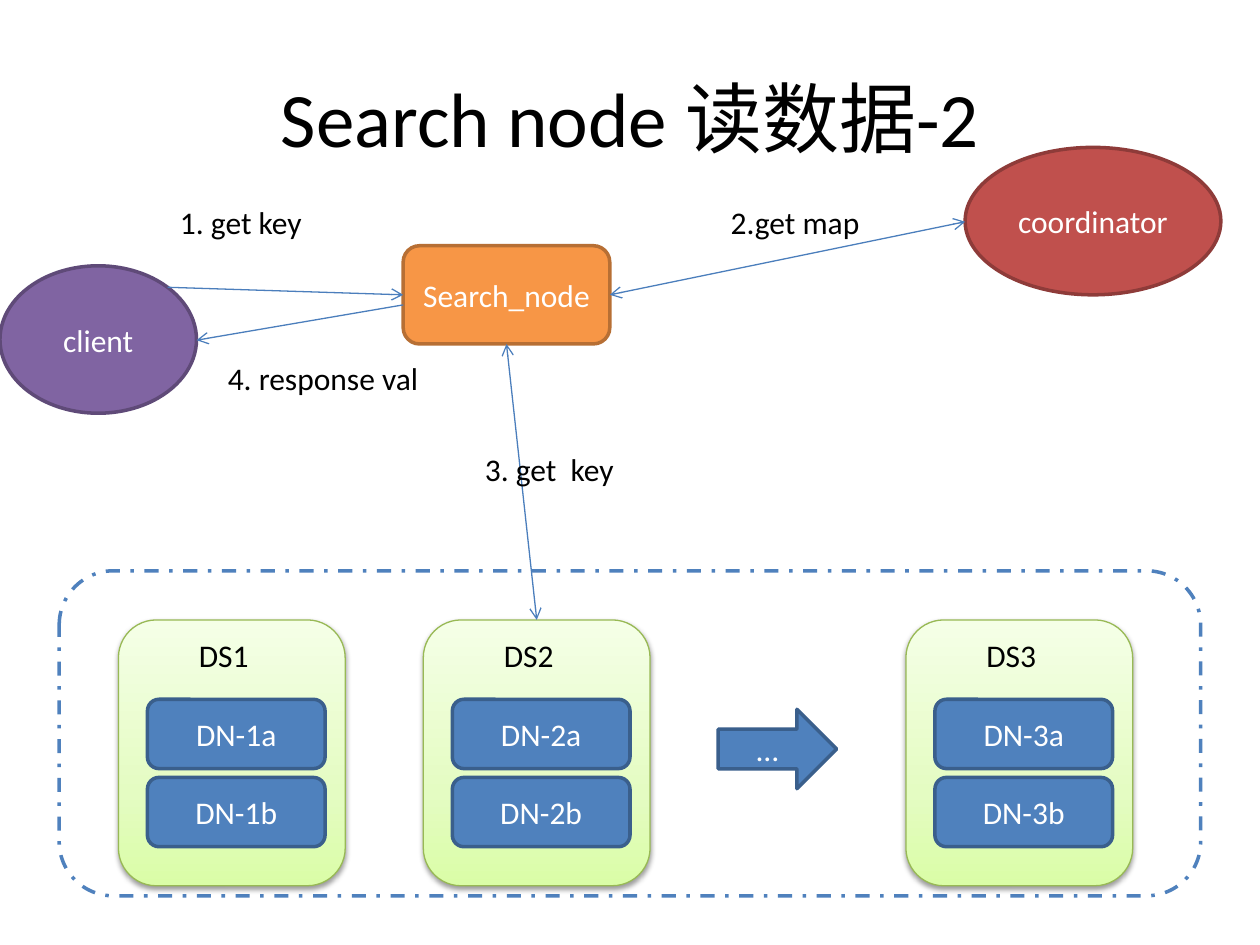
from copy import deepcopy
from lxml.etree import SubElement
from pptx import Presentation
from pptx.dml.color import RGBColor
from pptx.enum.dml import MSO_LINE
from pptx.enum.shapes import MSO_CONNECTOR, MSO_SHAPE as SHAPE
from pptx.enum.text import MSO_ANCHOR as ANCHOR, PP_ALIGN as ALIGN
from pptx.oxml.ns import qn
from pptx.util import Inches, Pt

COLORS = {
    "text": "000000", "light": "FFFFFF", "arrow": "4B7EBC",
    "blue": "4F81BD", "blue_edge": "3A5F8C",
    "orange": "F79646", "orange_edge": "B76F34",
    "red": "C0504D", "red_edge": "8E3B39",
    "purple": "8064A2", "purple_edge": "5F4A78",
    "green_edge": "98B955",
}
GREEN_STOPS = [(0, "DAFDA7"), (0.35, "E4FCC2"), (1, "F5FFE7")]
rgb = RGBColor.from_string

deck = Presentation()
deck.slide_width, deck.slide_height = Inches(10), Inches(7.5)
slide = deck.slides.add_slide(deck.slide_layouts[6])


def write(holder, words, color="text", size=18, align=ALIGN.LEFT, anchor=ANCHOR.TOP, wrap=True):
    frame = holder.text_frame
    frame.word_wrap = wrap
    frame.vertical_anchor = anchor
    frame.paragraphs[0].alignment = align
    run = frame.paragraphs[0].add_run()
    run.text = words
    run.font.name, run.font.size = "Calibri", Pt(size)
    run.font.color.rgb = rgb(COLORS[color])


def add_node(kind, box, fill, edge, words="", width=2):
    node = slide.shapes.add_shape(kind, *map(Inches, box))
    node.shadow.inherit = False
    if fill:
        node.fill.solid()
        node.fill.fore_color.rgb = rgb(COLORS[fill])
    node.line.color.rgb = rgb(COLORS[edge])
    node.line.width = Pt(width)
    if words:
        write(node, words, "light", align=ALIGN.CENTER, anchor=ANCHOR.MIDDLE)
    return node


# Title
title = slide.shapes.add_textbox(*map(Inches, (0.5, 0.3, 9, 1.25)))
write(title, "Search node 读数据-2", size=44, align=ALIGN.CENTER, anchor=ANCHOR.MIDDLE)

# Cluster frame and search node
cluster = add_node(SHAPE.ROUNDED_RECTANGLE, (0.47, 4.53, 9.06, 2.58), "light", "blue")
cluster.line.dash_style = MSO_LINE.DASH_DOT
add_node(SHAPE.ROUNDED_RECTANGLE, (3.2, 1.95, 1.64, 0.78), "orange", "orange_edge", "Search_node")

# Data servers, each with two data nodes
for number, left in enumerate((0.94, 3.36, 7.19), 1):
    server = add_node(SHAPE.ROUNDED_RECTANGLE, (left, 4.92, 1.8, 2.11), None, "green_edge", width=0.75)
    server.fill.gradient()
    server.fill.gradient_angle = 90
    stops = server._element.spPr.find(qn("a:gradFill")).find(qn("a:gsLst"))
    stops.append(deepcopy(stops[-1]))
    for stop, (position, color) in zip(server.fill.gradient_stops, GREEN_STOPS):
        stop.position = position
        stop.color.rgb = rgb(color)
    effects = server._element.spPr.find(qn("a:effectLst"))
    shade = SubElement(effects, qn("a:outerShdw"), blurRad=str(Pt(3.1)), dist=str(Pt(1.6)),
                       dir="5400000", rotWithShape="0")
    black = SubElement(shade, qn("a:srgbClr"), val=COLORS["text"])
    SubElement(black, qn("a:alpha"), val="38000")

    for row, letter in enumerate("ab"):
        add_node(SHAPE.ROUNDED_RECTANGLE, (left + 0.23, 5.55 + 0.62 * row, 1.41, 0.55),
                 "blue", "blue_edge", f"DN-{number}{letter}")
    server_name = slide.shapes.add_textbox(*map(Inches, (left + 0.54, 5, 0.86, 0.4)))
    write(server_name, f"DS{number}")

# Further servers, coordinator and client
add_node(SHAPE.RIGHT_ARROW, (5.7, 5.63, 0.94, 0.63), "blue", "blue_edge", "…")
add_node(SHAPE.OVAL, (7.66, 1.17, 2.03, 1.17), "red", "red_edge", "coordinator")
add_node(SHAPE.OVAL, (0, 2.11, 1.56, 1.17), "purple", "purple_edge", "client")

# Arrows: start, end, whether both ends have heads
for start, end, both in [
    ((4.84, 2.34), (7.66, 1.76), True),
    ((4.02, 2.73), (4.26, 4.92), True),
    ((1.33, 2.28), (3.2, 2.34), False),
    ((3.2, 2.42), (1.56, 2.7), False),
]:
    arrow = slide.shapes.add_connector(MSO_CONNECTOR.STRAIGHT, *map(Inches, start + end))
    arrow.line.color.rgb = rgb(COLORS["arrow"])
    arrow.line.width = Pt(0.75)
    for tag in ("a:headEnd", "a:tailEnd") if both else ("a:tailEnd",):
        SubElement(arrow.line._get_or_add_ln(), qn(tag), type="arrow")
    SubElement(arrow._element.spPr, qn("a:effectLst"))

# Step captions
for words, box, wrap in [
    ("1. get key", (1.33, 1.56, 1.18, 0.4), False),
    ("2.get map", (5.7, 1.56, 1.41, 0.4), True),
    ("3. get  key", (3.75, 3.52, 1.28, 0.4), False),
    ("4. response val", (1.71, 2.8, 1.73, 0.4), False),
]:
    write(slide.shapes.add_textbox(*map(Inches, box)), words, wrap=wrap)

deck.save("out.pptx")
